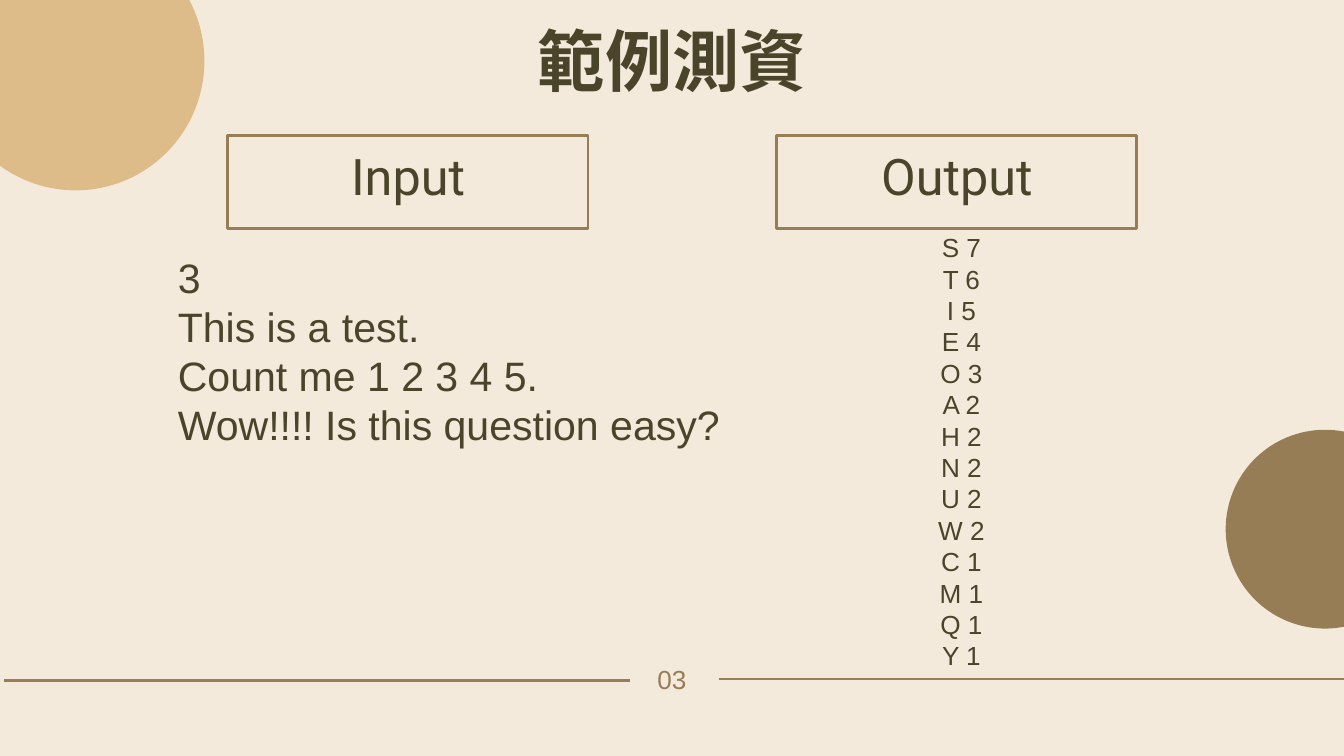
import pptx
import pptx.dml.color
import pptx.enum.shapes
import pptx.enum.text
import pptx.oxml.ns
import pptx.util
from lxml import etree

PX = 9525
CREAM = pptx.dml.color.RGBColor(0xF4, 0xEA, 0xDB)
TAN = pptx.dml.color.RGBColor(0xDD, 0xBC, 0x8A)
BROWN = pptx.dml.color.RGBColor(0x96, 0x7D, 0x55)
OLIVE = pptx.dml.color.RGBColor(0x4A, 0x45, 0x2A)
CENTER = pptx.enum.text.PP_ALIGN.CENTER
LEFT = pptx.enum.text.PP_ALIGN.LEFT
SHAPES = pptx.enum.shapes.MSO_SHAPE

INPUT_LINES = [
    "3",
    "This is a test.",
    "Count me 1 2 3 4 5.",
    "Wow!!!! Is this question easy?",
]
LETTER_COUNTS = {
    "S": 7, "T": 6, "I": 5, "E": 4, "O": 3, "A": 2, "H": 2,
    "N": 2, "U": 2, "W": 2, "C": 1, "M": 1, "Q": 1, "Y": 1,
}


def emu(*lengths):
    return [pptx.util.Emu(length * PX) for length in lengths]


def add_text(page, box, lines, size, font="Arial", color=OLIVE,
             align=CENTER, spacing=None, bold=False):
    frame = page.shapes.add_textbox(*emu(*box)).text_frame
    frame.word_wrap = True
    frame.margin_left = frame.margin_right = 0
    frame.margin_top = frame.margin_bottom = 0
    frame.text = "\n".join(lines)
    for para in frame.paragraphs:
        para.alignment = align
        if spacing:
            para.line_spacing = pptx.util.Pt(spacing)
        para.font.name = font
        para.font.size = pptx.util.Pt(size)
        para.font.bold = bold
        para.font.color.rgb = color
    return frame


def add_circle(page, box, color):
    circle = page.shapes.add_shape(SHAPES.OVAL, *emu(*box))
    circle.shadow.inherit = False
    circle.fill.solid()
    circle.fill.fore_color.rgb = color
    circle.line.fill.background()


def add_rule(page, left, right, y):
    rule = page.shapes.add_connector(
        pptx.enum.shapes.MSO_CONNECTOR.STRAIGHT, *emu(left, y, right, y))
    rule.line.color.rgb = BROWN
    rule.line.width = pptx.util.Pt(3)
    etree.SubElement(rule.element.spPr, pptx.oxml.ns.qn("a:effectLst"))


def add_title(page, box, title):
    font = "Noto Sans CJK SC"
    frame = add_text(page, box, [title], 72, font, spacing=86.4, bold=True)
    for latin in frame.paragraphs[0].font._element.findall(
            pptx.oxml.ns.qn("a:latin")):
        east_asian = etree.Element(pptx.oxml.ns.qn("a:ea"), typeface=font)
        latin.addnext(east_asian)


def add_heading(page, box, label):
    left, top, width, height = box
    outline = page.shapes.add_shape(SHAPES.RECTANGLE, *emu(*box))
    outline.shadow.inherit = False
    outline.fill.background()
    outline.line.color.rgb = BROWN
    outline.line.width = pptx.util.Pt(3)
    label_box = (left + 82, top + 52, width - 163, 57)
    add_text(page, label_box, [label], 54, "Roboto", spacing=36)


def add_input(page, box):
    left, top, width, height = box
    add_heading(page, (left + 71, top, 515, 132), "Input")
    add_text(page, (left, top + 166, width, height - 166), INPUT_LINES,
             44, align=LEFT)


def add_output(page, box):
    left, top, width, height = box
    add_heading(page, (left, top, width, 132), "Output")
    lines = [f"{letter} {count}" for letter, count in LETTER_COUNTS.items()]
    add_text(page, (left + 131, top + 137, 267, height - 137), lines, 28)


def add_footer(page, box, number):
    left, top, width, height = box
    add_rule(page, left + 1027, left + width, top + 15)
    add_rule(page, left + 6, left + 900, top + 17)
    add_text(page, (left + 871, top, 178, height), [number], 28,
             color=BROWN, spacing=28)


def main():
    deck = pptx.Presentation()
    deck.slide_width, deck.slide_height = emu(1920, 1080)
    page = deck.slides.add_slide(deck.slide_layouts[6])
    page.background.fill.solid()
    page.background.fill.fore_color.rgb = CREAM
    add_footer(page, (0, 955, 1920, 37), "03")
    add_circle(page, (1751, 614, 284, 284), BROWN)
    add_circle(page, (-76, -98, 368, 370), TAN)
    add_title(page, (453, 28, 1015, 116), "範例測資")
    add_input(page, (254, 194, 791, 450))
    add_output(page, (1109, 194, 515, 771))
    deck.save("out.pptx")


if __name__ == "__main__":
    main()
